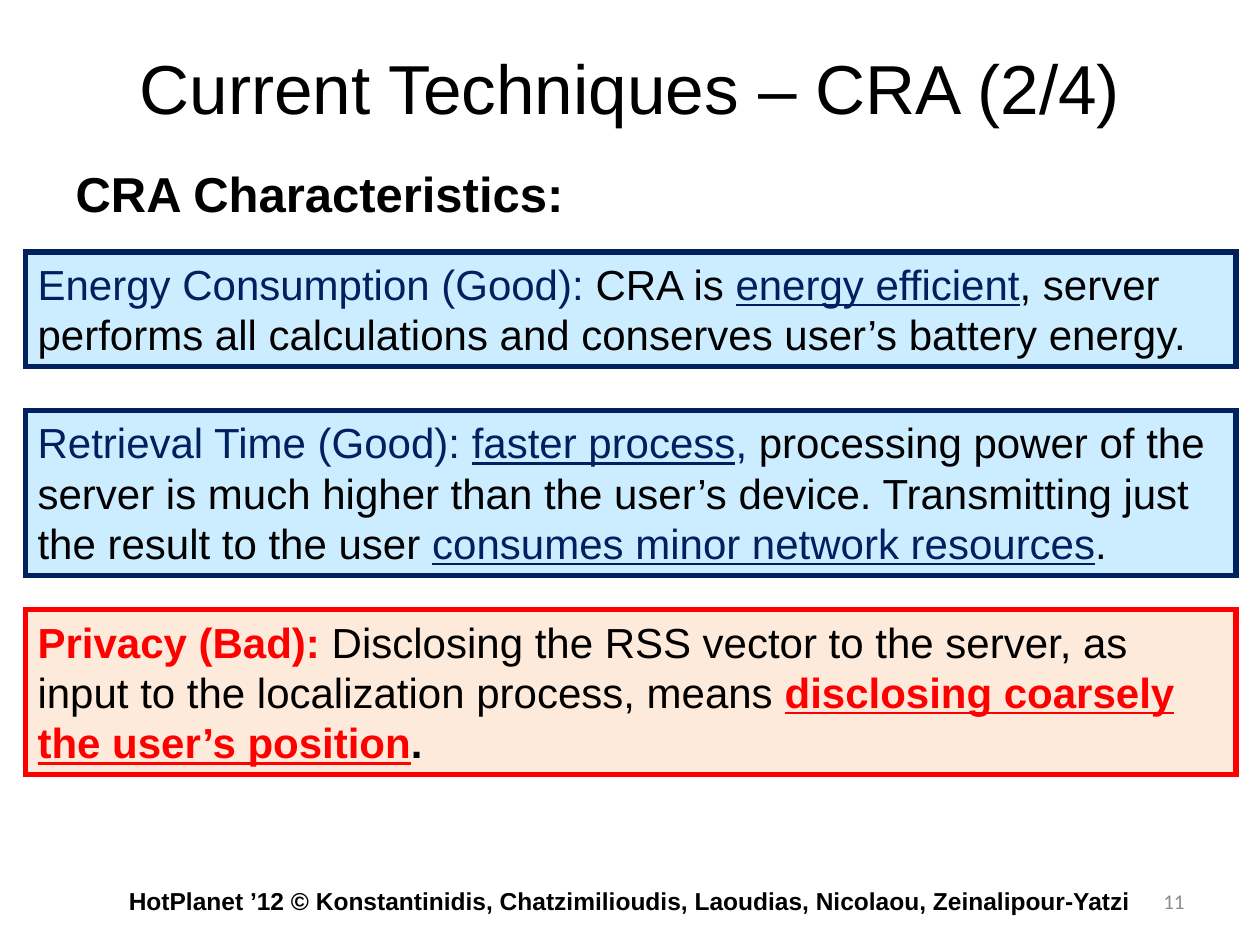
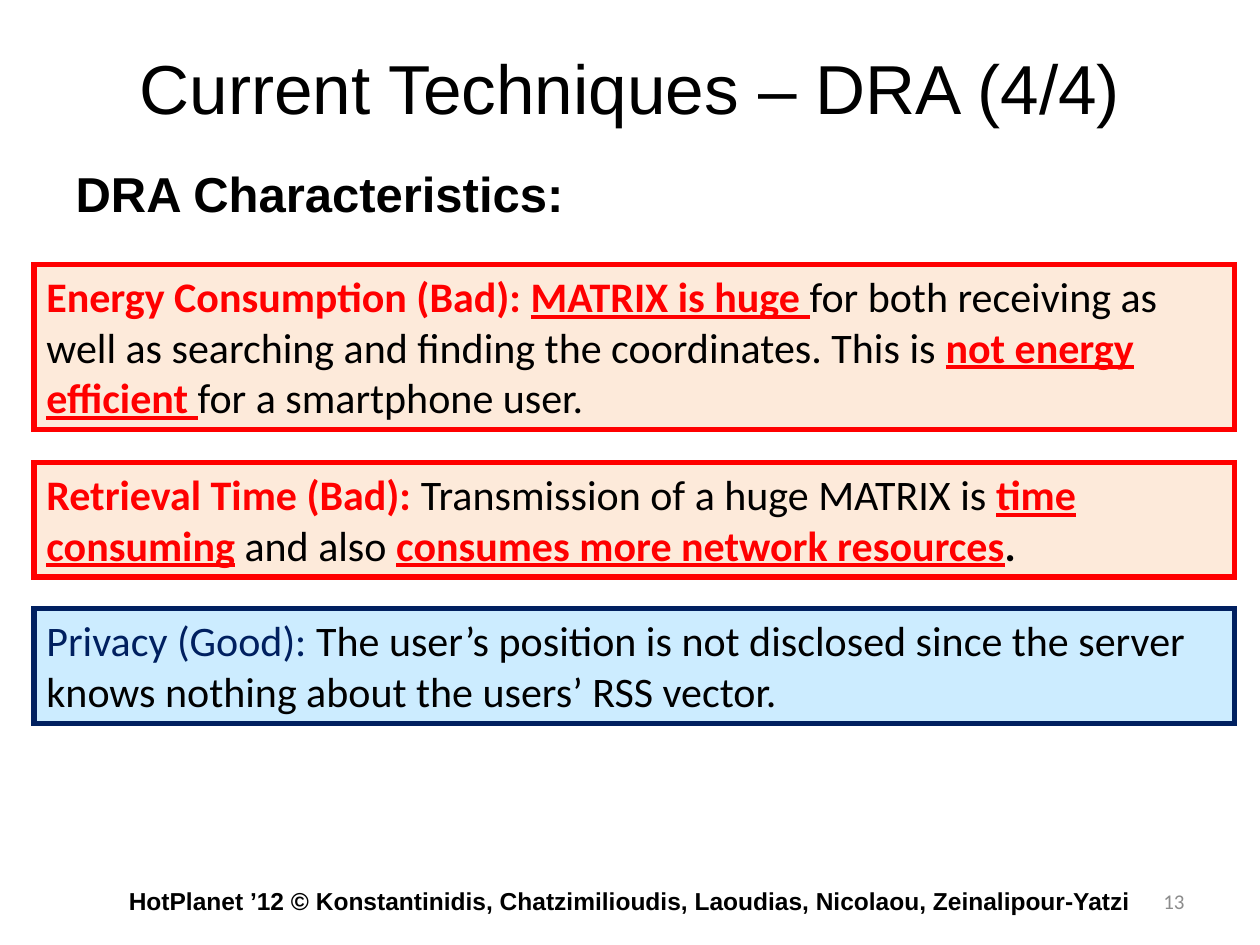
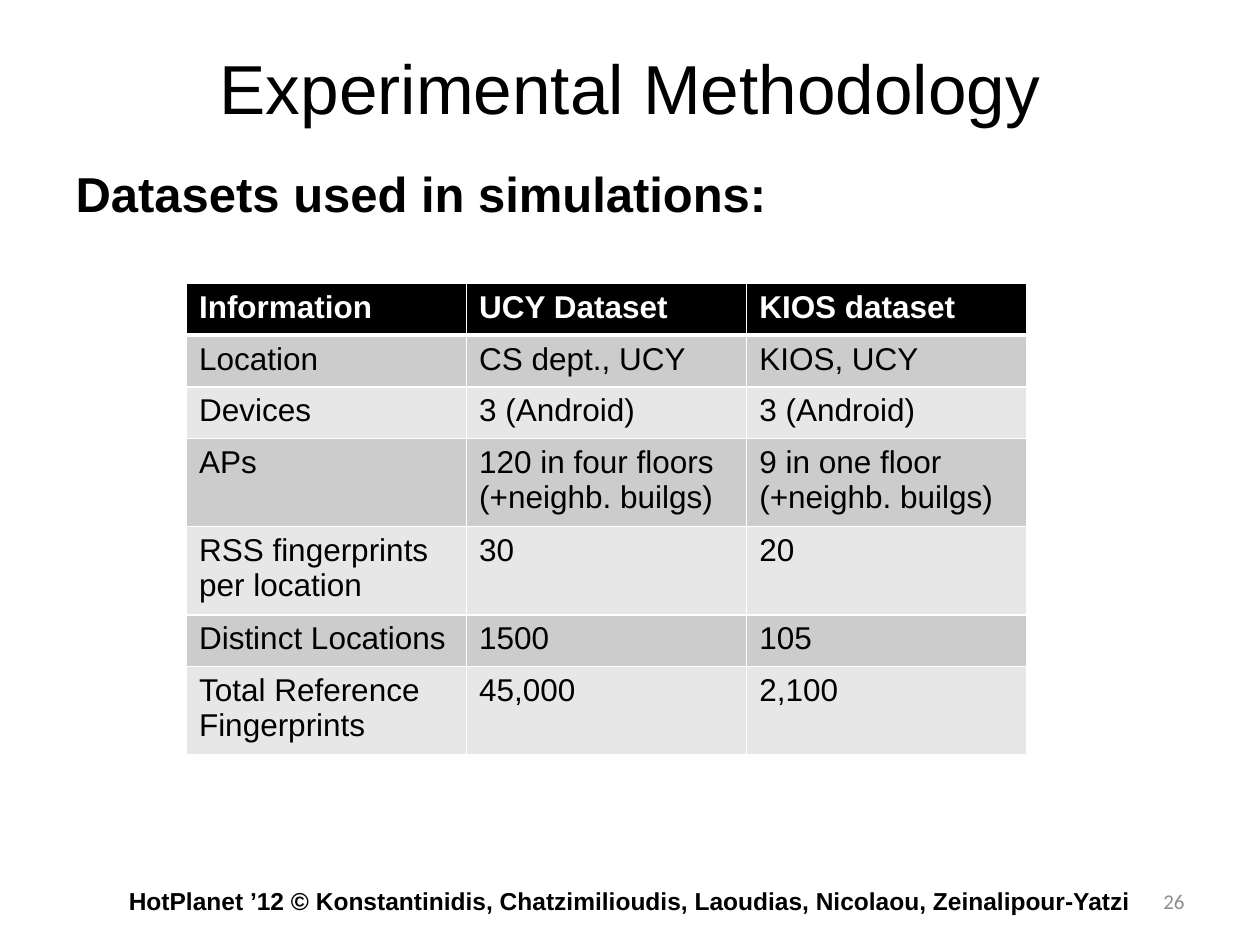
from lxml.etree import SubElement
from pptx import Presentation
from pptx.dml.color import RGBColor
from pptx.enum.shapes import MSO_SHAPE as SHAPE
from pptx.enum.text import MSO_ANCHOR as ANCHOR, MSO_AUTO_SIZE as FIT, PP_ALIGN as ALIGN
from pptx.oxml.ns import qn
from pptx.util import Inches, Pt

COLORS = {
    "text": "000000", "white": "FFFFFF", "number": "8C8C8C",
    "good": "002060", "good_fill": "CCECFF",
    "bad": "FF0000", "bad_fill": "FDEADA",
    "head": "000000", "band_dark": "CCCCCC", "band_light": "E7E7E7",
}
FOOTER = "HotPlanet ’12 © Konstantinidis, Chatzimilioudis, Laoudias, Nicolaou, Zeinalipour-Yatzi"

# Each card: verdict, top, number of lines, runs of (text, role)
CRA_CARDS = [
    ("good", 2, 2, [
        ("Energy Consumption (Good): ", "label"), ("CRA is ", "plain"),
        ("energy efficient", "key"),
        (", server performs all calculations and conserves user’s battery energy.", "plain")]),
    ("good", 3.26, 3, [
        ("Retrieval Time (Good): ", "label"), ("faster process", "key"), (", ", "label"),
        ("processing power of the server is much higher than the user’s device. "
         "Transmitting just the result to the user ", "plain"),
        ("consumes minor network resources", "key"), (".", "stop")]),
    ("bad", 4.84, 3, [
        ("Privacy (Bad): ", "label"),
        ("Disclosing the RSS vector to the server, as input to the localization process, "
         "means ", "plain"),
        ("disclosing coarsely the user’s position", "key"), (".", "stop")]),
]
DRA_CARDS = [
    ("bad", 2.1, 3, [
        ("Energy Consumption (Bad): ", "label"), ("MATRIX is huge ", "key"),
        ("for both receiving as well as searching and finding the coordinates. This is ", "plain"),
        ("not energy efficient ", "key"), ("for a smartphone user.", "plain")]),
    ("bad", 3.67, 2, [
        ("Retrieval Time (Bad): ", "label"), ("Transmission of a huge MATRIX is ", "plain"),
        ("time consuming", "key"), (" and also ", "plain"),
        ("consumes more network resources", "key"), (".", "stop")]),
    ("good", 4.83, 2, [
        ("Privacy (Good): ", "label"),
        ("The user’s position is not disclosed since the server knows nothing about "
         "the users’ RSS vector.", "plain")]),
]
DATASETS = [
    ("Information", "UCY Dataset", "KIOS dataset"),
    ("Location", "CS dept., UCY", "KIOS, UCY"),
    ("Devices", "3 (Android)", "3 (Android)"),
    ("APs", "120 in four floors (+neighb. builgs)", "9 in one floor (+neighb. builgs)"),
    ("RSS fingerprints per location", "30", "20"),
    ("Distinct Locations", "1500", "105"),
    ("Total Reference Fingerprints", "45,000", "2,100"),
]


def rgb(name):
    return RGBColor.from_string(COLORS[name])


def set_fill(item, color):
    item.fill.solid()
    item.fill.fore_color.rgb = rgb(color)


def add_text(p, text, size=24, font="Arial", color="text", bold=False, underline=False,
             align=None):
    r = p.add_run()
    r.text = text
    r.font.size, r.font.name = Pt(size), font
    r.font.color.rgb = rgb(color)
    r.font.bold, r.font.underline = bold, underline
    if align is not None:
        p.alignment = align


def place(sp, left, top, width, height):
    sp.left, sp.top, sp.width, sp.height = map(Inches, (left, top, width, height))


def add_caption(slide, box, text, **fmt):
    tf = slide.shapes.add_textbox(*map(Inches, box)).text_frame
    tf.word_wrap = True
    tf.vertical_anchor = ANCHOR.MIDDLE
    add_text(tf.paragraphs[0], text, **fmt)


def add_base_slide(prs, title, heading, number):
    slide = prs.slides.add_slide(prs.slide_layouts[1])
    title_sp, body = slide.placeholders
    place(title_sp, 0.5, 0.3, 9, 0.78)
    set_fill(title_sp, "white")
    title_sp.text_frame.vertical_anchor = ANCHOR.MIDDLE
    add_text(title_sp.text_frame.paragraphs[0], title, size=39.6, align=ALIGN.CENTER)

    place(body, 0.5, 1.25, 9, 5.45)
    p = body.text_frame.paragraphs[0]
    pPr = p._p.get_or_add_pPr()
    pPr.set("marL", "0")
    pPr.set("indent", "0")
    SubElement(pPr, qn("a:buNone"))
    p.space_before = Pt(0)
    add_text(p, heading, size=28, bold=True)

    add_caption(slide, (0.5, 6.95, 9, 0.4), FOOTER, size=14, bold=True, align=ALIGN.CENTER)
    add_caption(slide, (9, 6.95, 0.5, 0.4), str(number), size=12, font="Calibri",
                color="number", align=ALIGN.RIGHT)
    return slide


def add_card(slide, left, width, card, font):
    verdict, top, lines, runs = card
    height = 0.11 + 0.4 * lines
    sp = slide.shapes.add_shape(SHAPE.RECTANGLE, *map(Inches, (left, top, width, height)))
    sp.shadow.inherit = False
    set_fill(sp, verdict + "_fill")
    sp.line.color.rgb = rgb(verdict)
    sp.line.width = Pt(3)
    SubElement(sp.line._get_or_add_ln(), qn("a:miter"), lim="800000")
    tf = sp.text_frame
    tf.word_wrap, tf.auto_size = True, FIT.SHAPE_TO_FIT_TEXT
    tf.vertical_anchor = ANCHOR.TOP
    for text, role in runs:
        add_text(tf.paragraphs[0], text, font=font, align=ALIGN.LEFT,
                 color=verdict if role in ("label", "key") else "text",
                 bold=verdict == "bad" and role != "plain", underline=role == "key")


def add_card_slide(prs, title, heading, number, cards, left, width, font):
    slide = add_base_slide(prs, title, heading, number)
    for card in cards:
        add_card(slide, left, width, card, font)


def set_borders(cell, **widths):
    """Draw white borders; widths in points by side: L, R, T, B."""
    tcPr = cell._tc.get_or_add_tcPr()
    for i, (side, width) in enumerate(widths.items()):
        ln = tcPr.makeelement(qn("a:ln" + side), {"w": str(Pt(width))})
        fill = SubElement(ln, qn("a:solidFill"))
        SubElement(fill, qn("a:srgbClr"), val=COLORS["white"])
        tcPr.insert(i, ln)


def add_dataset_table(slide, left, top, width):
    rows, cols = len(DATASETS), len(DATASETS[0])
    table = slide.shapes.add_table(rows, cols, Inches(left), Inches(top),
                                   Inches(width), Inches(0.41 * rows)).table
    table.horz_banding = False
    for i, values in enumerate(DATASETS):
        band = "head" if i == 0 else "band_dark" if i % 2 else "band_light"
        for j, value in enumerate(values):
            cell = table.cell(i, j)
            set_fill(cell, band)
            set_borders(cell, L=1, R=1, T=3 if i == 1 else 1, B=3 if i == 0 else 1)
            add_text(cell.text_frame.paragraphs[0], value, size=18, bold=i == 0,
                     color="white" if i == 0 else "text")


def main():
    prs = Presentation()
    prs.slide_width, prs.slide_height = Inches(10), Inches(7.5)
    add_card_slide(prs, "Current Techniques – CRA (2/4)", "CRA Characteristics:", 11,
                   CRA_CARDS, left=0.2, width=9.61, font="Arial")
    add_card_slide(prs, "Current Techniques – DRA (4/4)", "DRA Characteristics:", 13,
                   DRA_CARDS, left=0.27, width=9.53, font="Calibri")
    slide = add_base_slide(prs, "Experimental Methodology", "Datasets used in simulations:", 26)
    add_dataset_table(slide, left=1.48, top=2.25, width=6.67)
    prs.save("out.pptx")


if __name__ == "__main__":
    main()
